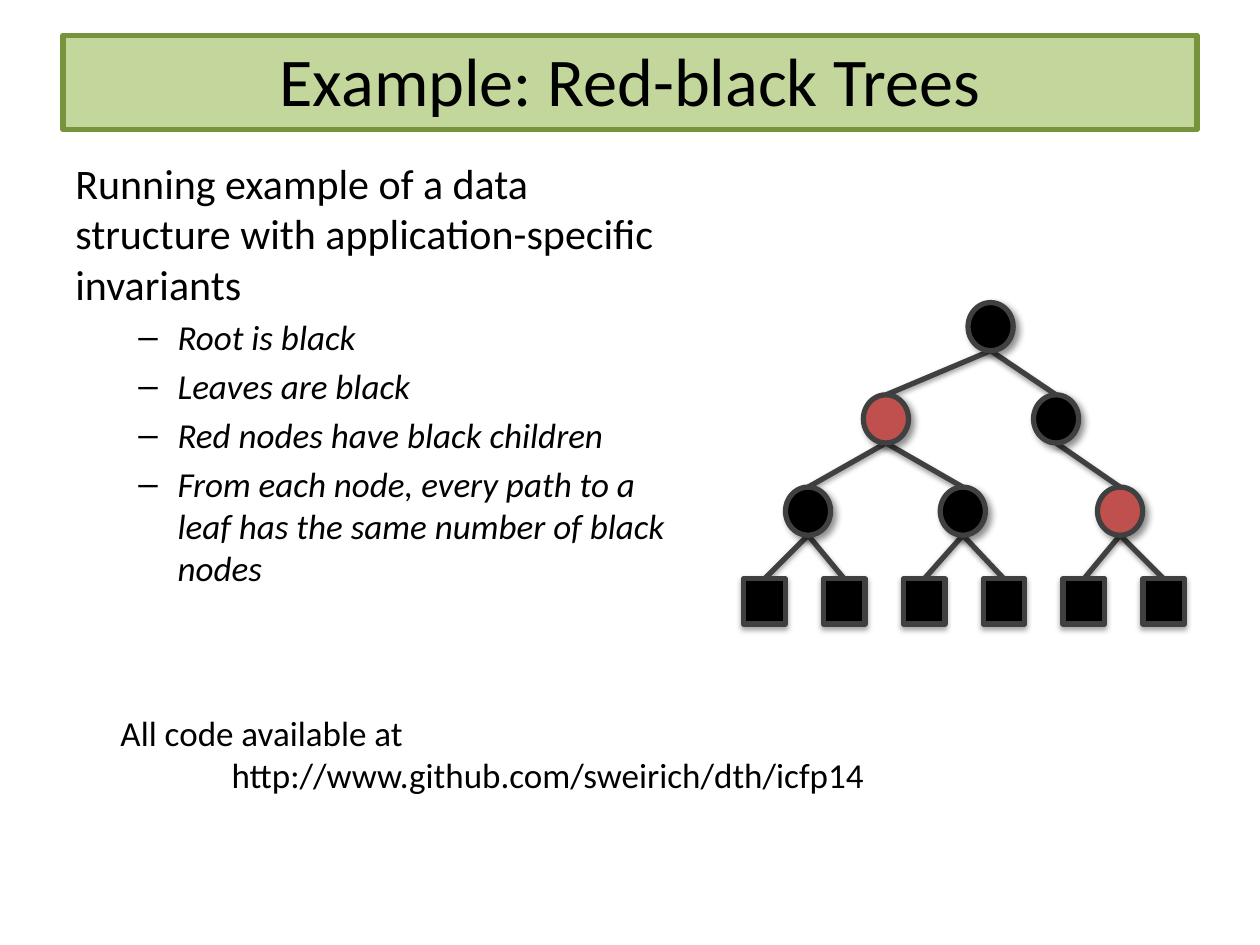
from lxml import etree
from pptx import Presentation, util as u
from pptx.dml.color import RGBColor
from pptx.enum import shapes, text
from pptx.oxml.ns import qn

BLACK = RGBColor(0x00, 0x00, 0x00)
RED = RGBColor(0xC0, 0x50, 0x4D)
GREY = RGBColor(0x40, 0x40, 0x40)
PALE = RGBColor(0xC3, 0xD6, 0x9B)
GREEN = RGBColor(0x77, 0x93, 0x3C)
FONT = "Calibri"

RULES = [
    "Root is black",
    "Leaves are black",
    "Red nodes have black children",
    "From each node, every path to a leaf has the same number of black nodes",
]
NODES = [
    (4.98, 0, None, BLACK),
    (2.87, 1, 0, RED),
    (6.3, 1, 0, BLACK),
    (1.3, 2, 1, BLACK),
    (4.42, 2, 1, BLACK),
    (7.59, 2, 2, RED),
]
DISC = (0.91, 0.97)
LEAF = (0.84, 0.91)
ROW = 1.86
STEP = 1.61
DISC_SHADE = (43, 4, 3, 45)
LEAF_SHADE = (35, 3.1, 1.8, 90)
EDGE_SHADE = (38, 3.1, 1.6, 90)


def style(par, size, italic=False):
    """Set the font of a whole paragraph."""
    font = par.font
    font.name, font.size, font.italic = FONT, u.Pt(size), italic
    font.color.rgb = BLACK


def outline(item, color):
    """Give a shape or connector a three-point line."""
    item.line.color.rgb = color
    item.line.width = u.Pt(3)


def shade(props, alpha, blur, dist, angle):
    """Add an outer shadow to shape properties."""
    effects = props.find(qn("a:effectLst"))
    if effects is None:
        effects = etree.SubElement(props, qn("a:effectLst"))
    outer = etree.SubElement(
        effects, qn("a:outerShdw"), blurRad=str(u.Pt(blur)),
        dist=str(u.Pt(dist)), dir=str(angle * 60000), rotWithShape="0")
    color = etree.SubElement(outer, qn("a:srgbClr"), val=str(BLACK))
    etree.SubElement(color, qn("a:alpha"), val=str(alpha * 1000))


def frame(slide, left, top, width, height):
    """Add a wrapping text box and return its text frame."""
    box = slide.shapes.add_textbox(
        u.Cm(left), u.Cm(top), u.Cm(width), u.Cm(height))
    box.text_frame.word_wrap = True
    return box.text_frame


def heading(slide, left, top, width, height):
    """Place and format the title."""
    title = slide.shapes.title
    title.left, title.top = u.Cm(left), u.Cm(top)
    title.width, title.height = u.Cm(width), u.Cm(height)
    title.fill.solid()
    title.fill.fore_color.rgb = PALE
    outline(title, GREEN)
    body = title.text_frame
    body.text = "Example: Red-black Trees"
    body.vertical_anchor = text.MSO_ANCHOR.MIDDLE
    body.margin_bottom = u.Cm(0.25)
    par = body.paragraphs[0]
    par.alignment = text.PP_ALIGN.CENTER
    style(par, 39)


def rules(slide, left, top, width, height):
    """Write the lead sentence and its dashed list."""
    body = frame(slide, left, top, width, height)
    lead = body.paragraphs[0]
    lead.text = ("Running example of a data structure with "
                 "application-specific invariants")
    style(lead, 24)
    for rule in RULES:
        par = body.add_paragraph()
        par.text = rule
        par.level = 1
        par.space_before = u.Pt(4)
        props = par._p.get_or_add_pPr()
        props.set("marL", str(u.Cm(2.06)))
        props.set("indent", str(u.Cm(-0.79)))
        etree.SubElement(props, qn("a:buFont"), typeface="Arial")
        etree.SubElement(props, qn("a:buChar"), char="–")
        style(par, 20, True)


def node(slide, kind, mid, top, size, color, shadow):
    """Draw one tree node, centred on mid."""
    width, height = size
    item = slide.shapes.add_shape(
        kind, u.Cm(mid - width / 2), u.Cm(top), u.Cm(width), u.Cm(height))
    item.fill.solid()
    item.fill.fore_color.rgb = color
    outline(item, GREY)
    item.shadow.inherit = False
    shade(item._element.spPr, *shadow)


def edge(slide, start, end):
    """Draw one line from a parent to a child."""
    line = slide.shapes.add_connector(
        shapes.MSO_CONNECTOR.STRAIGHT, *(u.Cm(n) for n in start + end))
    outline(line, GREY)
    shade(line._element.spPr, *EDGE_SHADE)


def tree(slide, left, top, width, height):
    """Draw the red-black tree, edges behind nodes."""
    spots = [(left + x, top + row * ROW) for x, row, _, _ in NODES]
    base = top + height - LEAF[1]
    leaves = [(left + LEAF[0] / 2 + i * STEP, base)
              for i in range(int(width / STEP) + 1)]
    links = [(n[2], spot) for n, spot in zip(NODES, spots) if n[2] is not None]
    links += [(3 + i // 2, leaf) for i, leaf in enumerate(leaves)]
    for up, end in links:
        x, y = spots[up]
        edge(slide, (x, y + DISC[1]), end)
    for (x, y), (_, _, _, color) in zip(spots, NODES):
        node(slide, shapes.MSO_SHAPE.OVAL, x, y, DISC, color, DISC_SHADE)
    for x, y in leaves:
        node(slide, shapes.MSO_SHAPE.RECTANGLE, x, y, LEAF, BLACK, LEAF_SHADE)


def source(slide, left, top, width, height):
    """Say where the code can be found."""
    body = frame(slide, left, top, width, height)
    lead, link = body.paragraphs[0], body.add_paragraph()
    lead.text = "All code available at"
    link.text = "http://www.github.com/sweirich/dth/icfp14"
    link._p.get_or_add_pPr().set("marL", str(u.Cm(2.24)))
    for par in (lead, link):
        style(par, 20)


def main():
    """Build and save the slide."""
    deck = Presentation()
    deck.slide_width, deck.slide_height = u.Cm(25.4), u.Cm(19.05)
    slide = deck.slides.add_slide(deck.slide_layouts[5])
    heading(slide, 1.27, 0.71, 22.86, 1.9)
    rules(slide, 1.27, 3.05, 12.67, 14.53)
    tree(slide, 14.99, 6.1, 8.89, 6.48)
    source(slide, 2.18, 14.22, 20.83, 1.96)
    deck.save("out.pptx")


if __name__ == "__main__":
    main()
